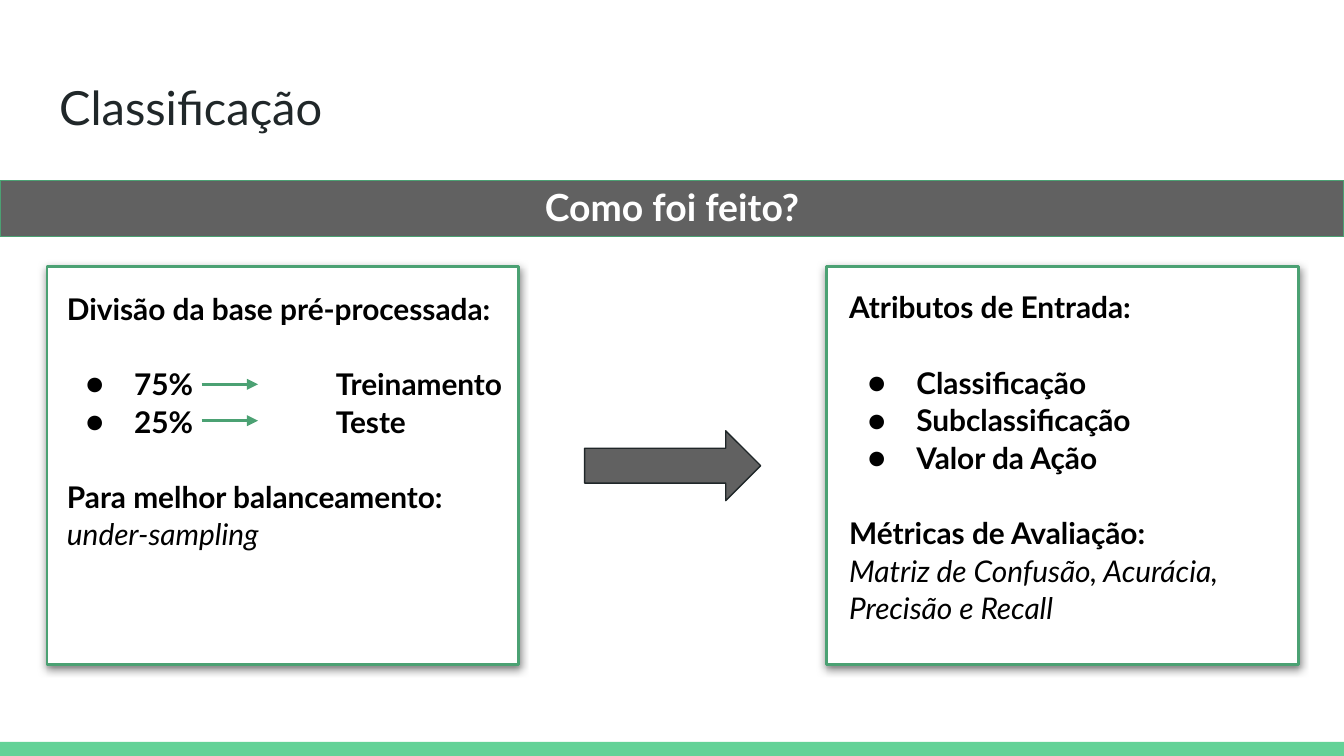
from dataclasses import dataclass

from lxml import etree
from pptx import Presentation
from pptx.dml.color import RGBColor
from pptx.enum.shapes import MSO_CONNECTOR, MSO_SHAPE
from pptx.enum.text import MSO_ANCHOR, MSO_AUTO_SIZE, PP_ALIGN
from pptx.oxml.ns import qn
from pptx.util import Pt

RECT, ARROW = MSO_SHAPE.RECTANGLE, MSO_SHAPE.RIGHT_ARROW
STRAIGHT = MSO_CONNECTOR.STRAIGHT
LEFT, CENTER = PP_ALIGN.LEFT, PP_ALIGN.CENTER
TOP, NO_FIT = MSO_ANCHOR.TOP, MSO_AUTO_SIZE.NONE

PX = 4572  # 200 px to the inch
WIDE, HIGH = 2000, 1125
FONT = "Lato"
SIZE, LEAD = 16, 1.04
TIGHT, GAP = 0.2, 20.4
COLORS = {
    "page": "FFFFFF",
    "mint": "63D297",
    "green": "4BA173",
    "gray": "616161",
    "ink": "202729",
    "black": "000000",
}


@dataclass(frozen=True)
class Box:
    x: int
    y: int
    w: int
    h: int

    def emu(self) -> tuple:
        return tuple(n * PX for n in (self.x, self.y, self.w, self.h))


@dataclass(frozen=True)
class Line:
    text: str
    kind: str = "head"  # head, item or note
    gap: float = TIGHT


@dataclass(frozen=True)
class Card:
    frame: Box
    area: Box
    lines: tuple


CARDS = (
    Card(Box(70, 397, 702, 592), Box(80, 410, 870, 434), (
        Line("Divisão da base pré-processada:"),
        Line("75%\t\tTreinamento", "item", GAP),
        Line("25%\t\tTeste", "item"),
        Line("Para melhor balanceamento:", gap=GAP),
        Line("under-sampling", "note"),
    )),
    Card(Box(1230, 397, 702, 592), Box(1244, 408, 672, 604), (
        Line("Atributos de Entrada:"),
        Line("Classificação", "item", GAP),
        Line("Subclassificação", "item"),
        Line("Valor da Ação", "item"),
        Line("Métricas de Avaliação:", gap=GAP),
        Line("Matriz de Confusão, Acurácia,", "note"),
        Line("Precisão e Recall", "note"),
    )),
)


def rgb(name: str) -> RGBColor:
    return RGBColor.from_string(COLORS[name])


def add(node, tag: str, **attrs: str):
    """Append a DrawingML child."""
    return etree.SubElement(node, qn(tag), attrs)


def style(para, size: float, color: str, bold=False, italic=False) -> None:
    for run in para.runs:
        font = run.font
        font.name, font.size = FONT, Pt(size)
        font.bold, font.italic = bold, italic
        font.color.rgb = rgb(color)


def shape(slide, kind, box: Box, fill: str, edge: str = "", width=0.75):
    form = slide.shapes.add_shape(kind, *box.emu())
    form.shadow.inherit = False
    form.fill.solid()
    form.fill.fore_color.rgb = rgb(fill)
    if edge:
        form.line.color.rgb = rgb(edge)
        form.line.width = Pt(width)
    else:
        form.line.fill.background()
    return form


def shade(form) -> None:
    """Give a shape a soft shadow below it."""
    effect = form.element.spPr.find(qn("a:effectLst"))
    drop = add(effect, "a:outerShdw", blurRad=str(Pt(4.5)),
               dist=str(Pt(1.5)), dir="5400000", algn="bl",
               rotWithShape="0")
    tint = add(drop, "a:srgbClr", val=COLORS["black"])
    add(tint, "a:alpha", val="50000")


def pad(frame) -> None:
    """Set even margins and fixed size on a text frame."""
    frame.word_wrap, frame.auto_size = True, NO_FIT
    frame.vertical_anchor = TOP
    frame.margin_left = frame.margin_right = 20 * PX
    frame.margin_top = frame.margin_bottom = 20 * PX


def fill_in(holder, box: Box, text: str, align):
    """Move a placeholder and set its one paragraph."""
    holder.left, holder.top, holder.width, holder.height = box.emu()
    frame = holder.text_frame
    frame.text = text
    pad(frame)
    para = frame.paragraphs[0]
    para.alignment = align
    para.space_before = Pt(0)
    return para


def bullet(para) -> None:
    props = para._p.get_or_add_pPr()
    props.set("marL", str(100 * PX))
    props.set("indent", str(-72 * PX))
    props.set("defTabSz", str(200 * PX))
    tint = add(props, "a:buClr")
    add(tint, "a:srgbClr", val=COLORS["black"])
    add(props, "a:buFont", typeface=FONT)
    add(props, "a:buChar", char="●")


def write(slide, card: Card) -> None:
    frame = slide.shapes.add_textbox(*card.area.emu()).text_frame
    pad(frame)
    for i, line in enumerate(card.lines):
        para = frame.add_paragraph() if i else frame.paragraphs[0]
        para.text = line.text
        para.line_spacing = LEAD
        para.space_before = Pt(line.gap)
        note = line.kind == "note"
        style(para, SIZE, "black", bold=not note, italic=note)
        if line.kind == "item":
            bullet(para)


def pointer(slide, x: int, y: int, end: int) -> None:
    """Draw a level line with an arrowhead."""
    link = slide.shapes.add_connector(
        STRAIGHT, x * PX, y * PX, end * PX, y * PX)
    link.line.color.rgb = rgb("green")
    link.line.width = Pt(1.5)
    add(link.line._get_or_add_ln(), "a:tailEnd", type="triangle")
    add(link.element.spPr, "a:effectLst")


def main() -> None:
    deck = Presentation()
    deck.slide_width, deck.slide_height = WIDE * PX, HIGH * PX
    slide = deck.slides.add_slide(deck.slide_layouts[1])
    slide.background.fill.solid()
    slide.background.fill.fore_color.rgb = rgb("page")

    title, body = slide.placeholders
    head = fill_in(title, Box(68, 97, 1864, 126), "Classificação", LEFT)
    style(head, 25.2, "ink")
    lead = fill_in(body, Box(68, 252, 1864, 748), "Como foi feito?", CENTER)
    lead.line_spacing = LEAD
    style(lead, 20, "page", bold=True)
    props = lead._p.get_or_add_pPr()
    props.set("marL", "0")
    props.set("indent", "0")
    add(props, "a:buNone")

    foot = shape(slide, RECT, Box(0, 1104, WIDE, HIGH - 1104), "mint")
    band = shape(slide, RECT, Box(0, 269, WIDE, 83), "gray", "green")
    for form in (foot, band):
        title.element.addprevious(form.element)

    for card in CARDS:
        shade(shape(slide, RECT, card.frame, "page", "green", 1.5))
        write(slide, card)
    for y in (572, 626):
        pointer(slide, 300, y, 384)
    shape(slide, ARROW, Box(870, 641, 262, 104), "gray", "ink")

    deck.save("out.pptx")


if __name__ == "__main__":
    main()
